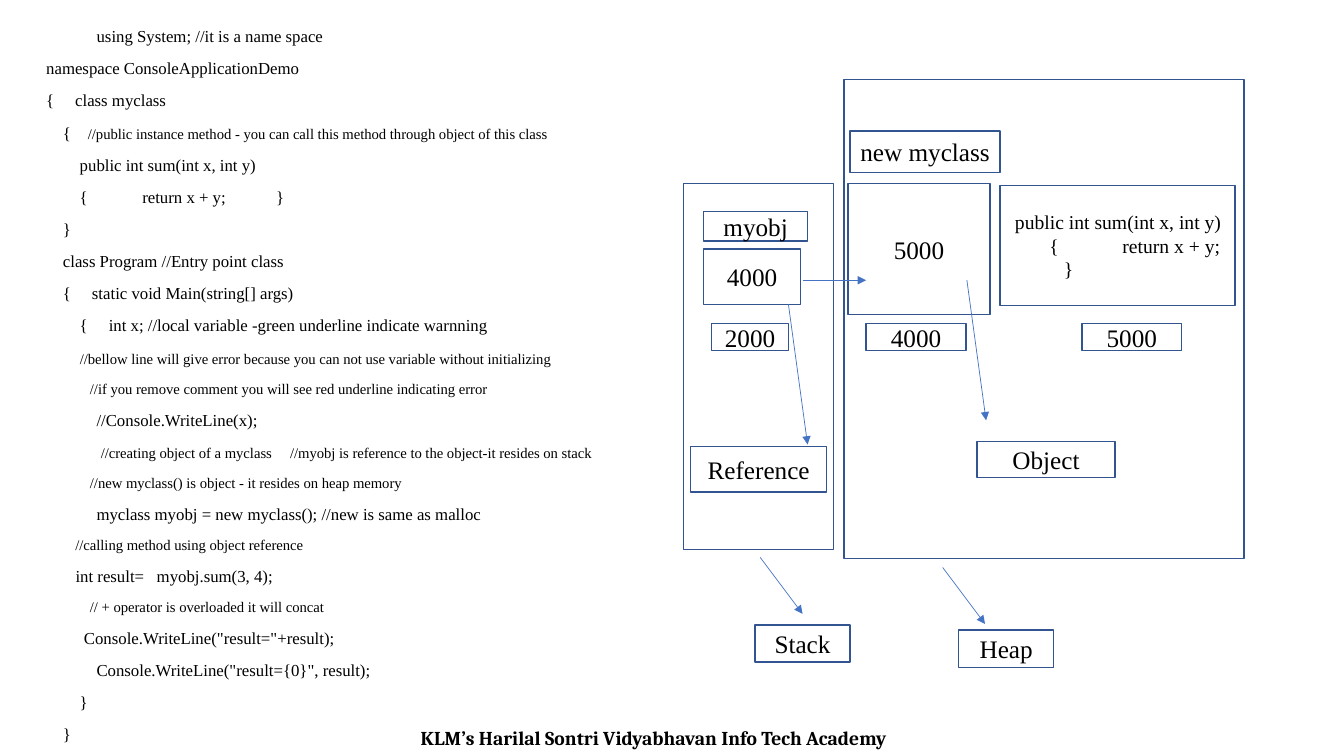
"""Build a slide that shows how a reference on the stack reaches an object on the heap."""
from lxml import etree
from pptx import Presentation
from pptx import util as u
from pptx.dml import color
from pptx.enum import shapes, text
from pptx.oxml import ns

SERIF = "Times New Roman"
BLACK, WHITE, NAVY, BLUE = "000000", "FFFFFF", "325491", "4472C4"
CENTER = text.PP_ALIGN.CENTER
LEFT = text.PP_ALIGN.LEFT

CODE = [
    ("\tusing System; //it is a name space", ""),
    ("namespace ConsoleApplicationDemo", ""),
    ("{     class myclass", ""),
    ("    {    ", "//public instance method - you can call this method through object of this class"),
    ("        public int sum(int x, int y)", ""),
    ("        {             return x + y;            }", ""),
    ("    }", ""),
    ("    class Program //Entry point class", ""),
    ("    {     static void Main(string[] args)", ""),
    ("        {     int x; //local variable -green underline indicate warnning", ""),
    ("        ", "//bellow line will give error because you can not use variable without initializing"),
    ("", "            //if you remove comment you will see red underline indicating error"),
    ("            //Console.WriteLine(x);", ""),
    ("             ", "//creating object of a myclass     //myobj is reference to the object-it resides on stack"),
    ("", "            //new myclass() is object - it resides on heap memory"),
    ("            myclass myobj = new myclass(); //new is same as malloc", ""),
    ("", "        //calling method using object reference"),
    ("       int result=   myobj.sum(3, 4);", ""),
    ("", "            // + operator is overloaded it will concat"),
    ('         Console.WriteLine("result="+result);', ""),
    ('            Console.WriteLine("result={0}", result);', ""),
    ("        }", ""),
    ("    }", ""),
]
METHOD = [
    " public int sum(int x, int y)",
    "        {             return x + y;",
    "           }",
]
REGIONS = [(8.37, 0.79, 3.97, 4.75), (6.78, 1.82, 1.49, 3.63)]
LABELS = [
    ("4000", 6.98, 2.47, 0.96, 0.55),
    ("2000", 7.06, 3.21, 0.76, 0.27),
    ("5000", 8.41, 1.82, 1.41, 1.3),
    ("4000", 8.59, 3.21, 0.99, 0.27),
    ("myobj", 6.98, 2.1, 1.03, 0.29),
    ("5000", 10.73, 3.21, 0.99, 0.27),
    ("new myclass", 8.43, 1.3, 1.49, 0.41),
    ("Reference", 6.85, 4.43, 1.35, 0.45),
    ("Object", 9.69, 4.38, 1.37, 0.36),
    ("Stack", 7.49, 6.2, 0.94, 0.37),
    ("Heap", 9.51, 6.25, 0.94, 0.37),
]
ARROWS = [
    (7.82, 3.02, 8.01, 4.41),
    (9.59, 2.78, 9.78, 4.17),
    (7.54, 5.53, 7.96, 6.09),
    (9.35, 5.63, 9.77, 6.19),
    (7.96, 2.78, 8.59, 2.78),
]


def rgb(value):
    """Turn a hex string into a colour."""
    return color.RGBColor.from_string(value)


def apply(target, values):
    """Set each named attribute on the target."""
    for name, value in values.items():
        setattr(target, name, value)


def add_span(para, words, size, **extra):
    """Append a run of black text."""
    span = para.add_run()
    span.text = words
    apply(span.font, {"name": SERIF, "size": u.Pt(size), **extra})
    span.font.color.rgb = rgb(BLACK)


def add_paragraphs(frame, count, align):
    """Return the given number of aligned paragraphs of an empty frame."""
    paras = [frame.paragraphs[0]] + [frame.add_paragraph() for _ in range(count - 1)]
    for para in paras:
        para.alignment = align
    return paras


def add_text_box(page, *place):
    """Add a wrapping text box and return its frame."""
    frame = page.shapes.add_textbox(*map(u.Inches, place)).text_frame
    frame.word_wrap = True
    return frame


def add_listing(page):
    """Add the program with its smaller remarks."""
    frame = add_text_box(page, 0.36, 0.23, 6.22, 7.2)
    paras = add_paragraphs(frame, len(CODE), LEFT)
    for index, (para, (code, remark)) in enumerate(zip(paras, CODE)):
        apply(para, {"line_spacing": 0.9, "space_before": u.Pt(10 if index else 0)})
        for words, size in ((code, 12), (remark, 10.5)):
            if words:
                add_span(para, words, size)


def add_box(page, place, lines=(), size=18, align=CENTER, fill=None):
    """Add an outlined rectangle with optional lines of text."""
    box = page.shapes.add_shape(shapes.MSO_SHAPE.RECTANGLE, *map(u.Inches, place))
    box.shadow.inherit = False
    if fill:
        box.fill.solid()
        box.fill.fore_color.rgb = rgb(fill)
    else:
        box.fill.background()
    box.line.color.rgb = rgb(NAVY)
    box.line.width = u.Pt(1)
    apply(box.text_frame, {"word_wrap": True, "vertical_anchor": text.MSO_ANCHOR.MIDDLE})
    for para, words in zip(add_paragraphs(box.text_frame, len(lines), align), lines):
        add_span(para, words, size)


def add_arrow(page, ends):
    """Add a thin line that ends in a triangle."""
    arrow = page.shapes.add_connector(shapes.MSO_CONNECTOR.STRAIGHT, *map(u.Inches, ends))
    arrow.line.color.rgb = rgb(BLUE)
    arrow.line.width = u.Pt(0.5)
    etree.SubElement(arrow.line._get_or_add_ln(), ns.qn("a:tailEnd"), type="triangle")
    etree.SubElement(arrow._element.spPr, ns.qn("a:effectLst"))


def add_footer(page):
    """Add the centred name of the academy."""
    frame = add_text_box(page, 1.83, 7.15, 9.31, 0.34)
    para = add_paragraphs(frame, 1, CENTER)[0]
    add_span(para, "KLM’s Harilal Sontri Vidyabhavan Info Tech Academy", 14, name="Cambria", bold=True)


def main():
    """Compose and save the slide."""
    deck = Presentation()
    apply(deck, {"slide_width": u.Inches(13.33), "slide_height": u.Inches(7.5)})
    page = deck.slides.add_slide(deck.slide_layouts[6])
    page.background.fill.solid()
    page.background.fill.fore_color.rgb = rgb(WHITE)
    add_footer(page)
    for place in REGIONS:
        add_box(page, place)
    add_listing(page)
    for label, *place in LABELS:
        add_box(page, place, [label])
    add_box(page, (9.92, 1.84, 2.33, 1.19), METHOD, 14, LEFT)
    for ends in ARROWS:
        add_arrow(page, ends)
    deck.save("out.pptx")


if __name__ == "__main__":
    main()
